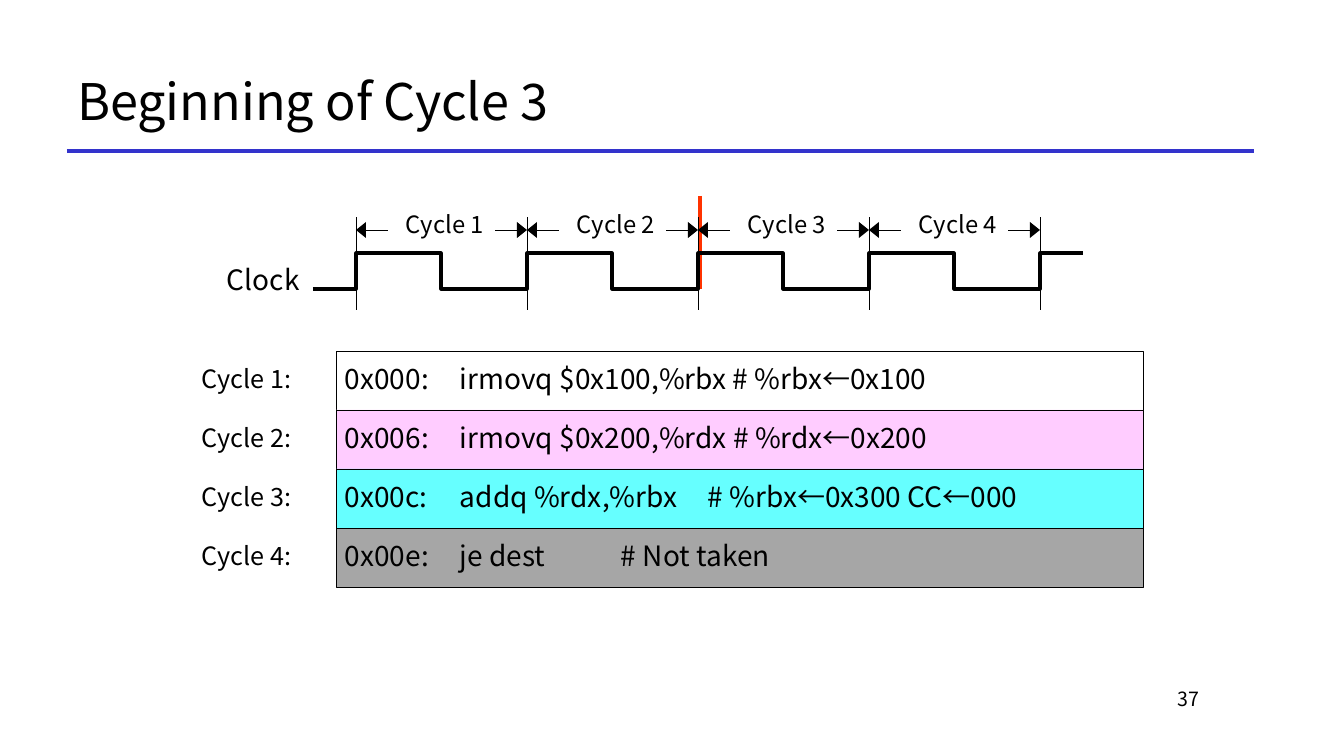
from lxml.etree import SubElement
from pptx import Presentation
from pptx.dml.color import RGBColor
from pptx.enum.shapes import MSO_CONNECTOR, MSO_SHAPE
from pptx.enum.text import MSO_ANCHOR, MSO_AUTO_SIZE, PP_ALIGN
from pptx.oxml.ns import qn
from pptx.util import Pt

FONT = "Noto Sans CJK KR"
BLACK = "000000"
HAIRLINE = 0.5
INSTRUCTIONS = [
    # address, instruction, tab stop of the comment, row fill
    ("0x000:", "irmovq $0x100,%rbx # %rbx←0x100", None, "FFFFFF"),
    ("0x006:", "irmovq $0x200,%rdx # %rdx←0x200", None, "FFCCFF"),
    ("0x00c:", "addq %rdx,%rbx\t# %rbx←0x300 CC←000", 248, "66FFFF"),
    ("0x00e:", "je dest\t# Not taken", 161, "A6A6A6"),
]


def px(length):
    """Turn slide pixels (1344 across 13.33 inches) into EMU."""
    return round(length * 12192000 / 1344)


def color(value):
    return RGBColor.from_string(value)


def format_text(frame, text, size, align=PP_ALIGN.LEFT, spacing=None, tab=None):
    frame.word_wrap = True
    frame.auto_size = MSO_AUTO_SIZE.NONE
    frame.vertical_anchor = MSO_ANCHOR.MIDDLE
    paragraph = frame.paragraphs[0]
    paragraph.alignment = align
    if spacing:
        paragraph.line_spacing = spacing
    if tab:
        stops = SubElement(paragraph._p.get_or_add_pPr(), qn("a:tabLst"))
        SubElement(stops, qn("a:tab"), pos=str(px(tab)), algn="l")
    run = paragraph.add_run()
    run.text = text
    run.font.size = Pt(size)
    run.font.name = FONT
    run.font.color.rgb = color(BLACK)
    SubElement(run.font._element, qn("a:ea"), typeface=FONT)


def add_text(slide, text, left, middle, width, size, **style):
    """Place one line of text centred vertically on middle."""
    height = 40
    box = slide.shapes.add_textbox(
        px(left), px(middle - height // 2), px(width), px(height))
    frame = box.text_frame
    frame.margin_left = frame.margin_right = 0
    frame.margin_top = frame.margin_bottom = 0
    format_text(frame, text, size, **style)


def add_line(slide, start, end, stroke=BLACK, weight=HAIRLINE):
    line = slide.shapes.add_connector(
        MSO_CONNECTOR.STRAIGHT, *map(px, start), *map(px, end))
    line.line.color.rgb = color(stroke)
    line.line.width = Pt(weight)
    SubElement(line._element.spPr, qn("a:effectLst"))


def add_outline(slide, points, closed):
    """Draw a filled black polygon if closed, otherwise a black polyline."""
    first, *rest = [(px(x), px(y)) for x, y in points]
    builder = slide.shapes.build_freeform(*first, scale=1.0)
    builder.add_line_segments(rest, close=closed)
    outline = builder.convert_to_shape()
    outline.shadow.inherit = False
    if closed:
        outline.fill.solid()
        outline.fill.fore_color.rgb = color(BLACK)
        outline.line.fill.background()
    else:
        outline.fill.background()
        outline.line.color.rgb = color(BLACK)
        outline.line.width = Pt(2.2)


def add_heading(slide, left, top, width, height):
    add_line(slide, (left, top + height), (left + width, top + height),
             stroke="3333CC", weight=3)
    title = slide.shapes.title
    title.left, title.top = px(left), px(top)
    title.width, title.height = px(width), px(height)
    format_text(title.text_frame, "Beginning of Cycle 3", 36)


def add_cycle_span(slide, number, left, right, middle):
    """Label one clock period between two outward arrows."""
    shaft, head, half_head = 32, 10, 8
    for tip, inward in ((left, 1), (right, -1)):
        base = tip + inward * head
        add_line(slide, (base, middle), (tip + inward * shaft, middle))
        add_outline(slide, [(tip, middle), (base, middle - half_head),
                            (base, middle + half_head)], closed=True)
    add_text(slide, f"Cycle {number}", left + 50, middle - 4, 90, 17, spacing=0.9)


def add_clock(slide, left, top, period, cycles):
    """Draw the clock wave; left is its first rising edge, top the tick tops."""
    high, low, tick_bottom = top + 36, top + 72, top + 93
    half, lead = 85, 43
    edges = [left + i * period for i in range(cycles + 1)]
    marked = edges[2] + 2
    add_line(slide, (marked, top - 21), (marked, low), stroke="FF3300", weight=3)
    add_text(slide, "Clock", left - 129, low - 8, 80, 20, spacing=0.9)
    for number, (start, end) in enumerate(zip(edges, edges[1:]), 1):
        add_cycle_span(slide, number, start, end, top + 13)
    wave = [(left - lead, low)]
    for edge in edges:
        add_line(slide, (edge, tick_bottom), (edge, top))
        wave += [(edge, low), (edge, high)]
        if edge != edges[-1]:
            wave += [(edge + half, high), (edge + half, low)]
    wave.append((edges[-1] + lead, high))
    add_outline(slide, wave, closed=False)


def add_program(slide, left, top, width, row_height):
    """Stack one coloured row per instruction with its cycle label at the left."""
    for index, (address, code, tab, fill) in enumerate(INSTRUCTIONS):
        row_top = top + index * row_height
        middle = row_top + row_height // 2
        row = slide.shapes.add_shape(MSO_SHAPE.RECTANGLE, px(left), px(row_top),
                                     px(width), px(row_height))
        row.shadow.inherit = False
        row.fill.solid()
        row.fill.fore_color.rgb = color(fill)
        row.line.color.rgb = color(BLACK)
        row.line.width = Pt(HAIRLINE)
        add_text(slide, f"Cycle {index + 1}:", left - 134, middle, 110, 18, spacing=0.9)
        add_text(slide, address, left + 9, middle, 100, 20, spacing=0.9)
        add_text(slide, code, left + 124, middle, width - 134, 20, spacing=0.9, tab=tab)


def main():
    presentation = Presentation()
    presentation.slide_width, presentation.slide_height = px(1344), px(756)
    slide = presentation.slides.add_slide(presentation.slide_layouts[5])
    add_heading(slide, 67, 50, 1187, 101)
    add_clock(slide, left=356, top=217, period=171, cycles=4)
    add_program(slide, left=336, top=351, width=807, row_height=59)
    add_text(slide, "37", 1029, 699, 170, 14, align=PP_ALIGN.RIGHT)
    presentation.save("out.pptx")


if __name__ == "__main__":
    main()
